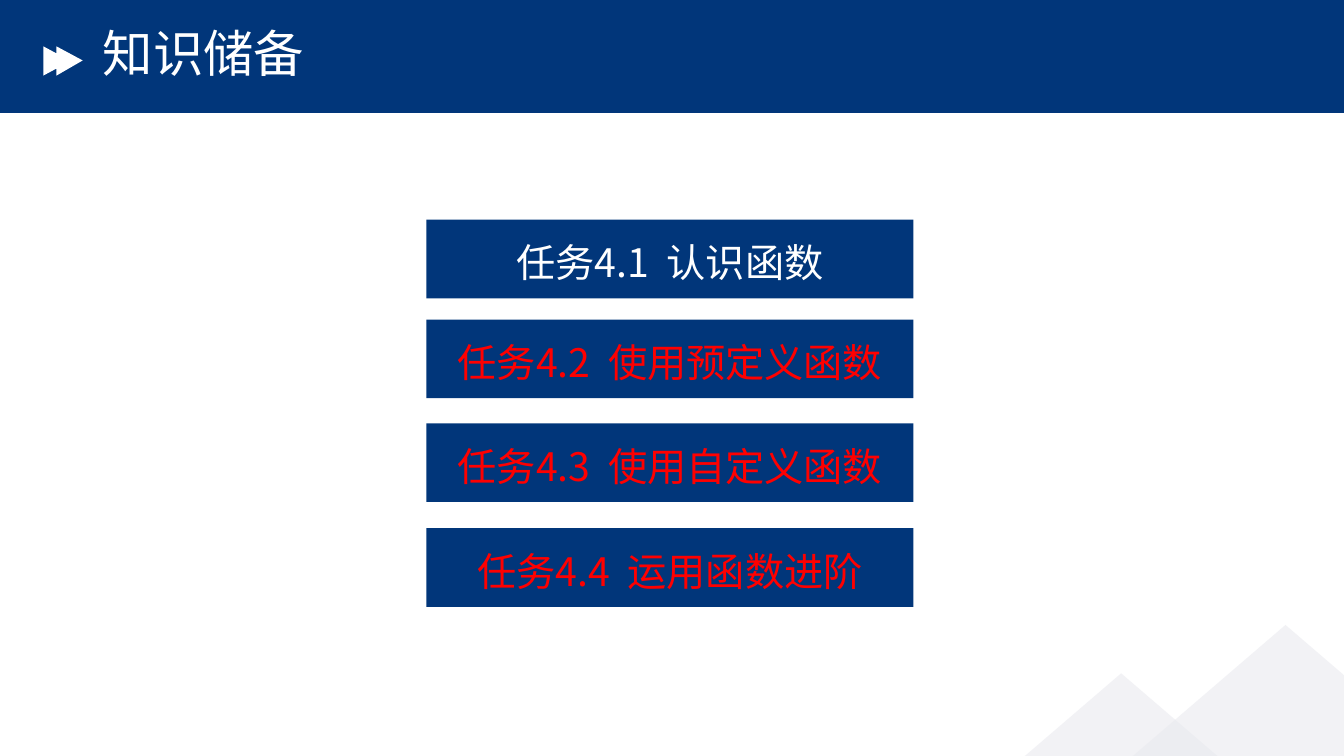
from lxml import etree
from pptx import Presentation
from pptx.dml.color import RGBColor
from pptx.enum.shapes import MSO_SHAPE
from pptx.enum.text import MSO_ANCHOR, PP_ALIGN
from pptx.oxml.ns import qn
from pptx.util import Inches, Pt

RECTANGLE, TRIANGLE = MSO_SHAPE.RECTANGLE, MSO_SHAPE.ISOSCELES_TRIANGLE
TOP, MIDDLE = MSO_ANCHOR.TOP, MSO_ANCHOR.MIDDLE
LEFT, CENTER = PP_ALIGN.LEFT, PP_ALIGN.CENTER

THEME = {
    "font": "Noto Sans CJK SC",
    "navy": RGBColor(0x01, 0x36, 0x7A),
    "white": RGBColor(0xFF, 0xFF, 0xFF),
    "red": RGBColor(0xFF, 0x00, 0x00),
    "mist": RGBColor(0xE9, 0xEA, 0xEF),
    "title_size": Pt(36),
    "task_size": Pt(28),
}


def paint(shape, color, opacity=100):
    shape.shadow.inherit = False
    shape.line.fill.background()
    shape.fill.solid()
    shape.fill.fore_color.rgb = color
    if opacity < 100:
        fill_color = shape.fill._xPr.find(qn("a:solidFill"))[0]
        etree.SubElement(fill_color, qn("a:alpha"), val=str(opacity * 1000))


def write(box, text, *, size, color, align=LEFT, anchor=TOP, spacing=1.0, before=0):
    frame = box.text_frame
    frame.word_wrap = True
    frame.vertical_anchor = anchor
    para = frame.paragraphs[0]
    para.alignment = align
    para.line_spacing = spacing
    para.space_before = Pt(before)
    span = para.add_run()
    span.text = text
    span.font.name = THEME["font"]
    span.font.size = size
    span.font.color.rgb = color
    etree.SubElement(span.font._element, qn("a:ea"), typeface=THEME["font"])


deck = Presentation()
deck.slide_width, deck.slide_height = Inches(13.33), Inches(7.5)
page = deck.slides.add_slide(deck.slide_layouts[6])
shapes = page.shapes

# Header band with its double arrow
band = shapes.add_shape(RECTANGLE, 0, 0, deck.slide_width, Inches(1.12))
paint(band, THEME["navy"])

arrow_points = [(0.43, 0.46), (0.56, 0.53), (0.56, 0.46), (0.82, 0.6),
                (0.56, 0.75), (0.56, 0.68), (0.43, 0.75)]
corners = [(Inches(x), Inches(y)) for x, y in arrow_points]
outline = shapes.build_freeform(*corners[0])
outline.add_line_segments(corners[1:], close=True)
paint(outline.convert_to_shape(), THEME["white"])

# Pale mountains in the lower right corner
for left, top in [(8.92, 6.68), (10.55, 6.2)]:
    mountain = shapes.add_shape(TRIANGLE, Inches(left), Inches(top), Inches(4.4), Inches(1.89))
    paint(mountain, THEME["mist"], opacity=59)

# Title
title = shapes.add_textbox(Inches(0.92), Inches(0.28), Inches(6.58), Inches(0.56))
write(title, "知识储备", size=THEME["title_size"], color=THEME["white"],
      anchor=MIDDLE, spacing=0.9)

# Task bars
tasks = [
    (2.18, "任务4.1  认识函数", "white"),
    (3.17, "任务4.2  使用预定义函数", "red"),
    (4.2, "任务4.3  使用自定义函数", "red"),
    (5.24, "任务4.4  运用函数进阶", "red"),
]
for top, label, color in tasks:
    bar = shapes.add_shape(RECTANGLE, Inches(4.23), Inches(top), Inches(4.83), Inches(0.78))
    paint(bar, THEME["navy"])
    write(bar, label, size=THEME["task_size"], color=THEME[color],
          align=CENTER, spacing=1.3, before=10)

deck.save("out.pptx")
